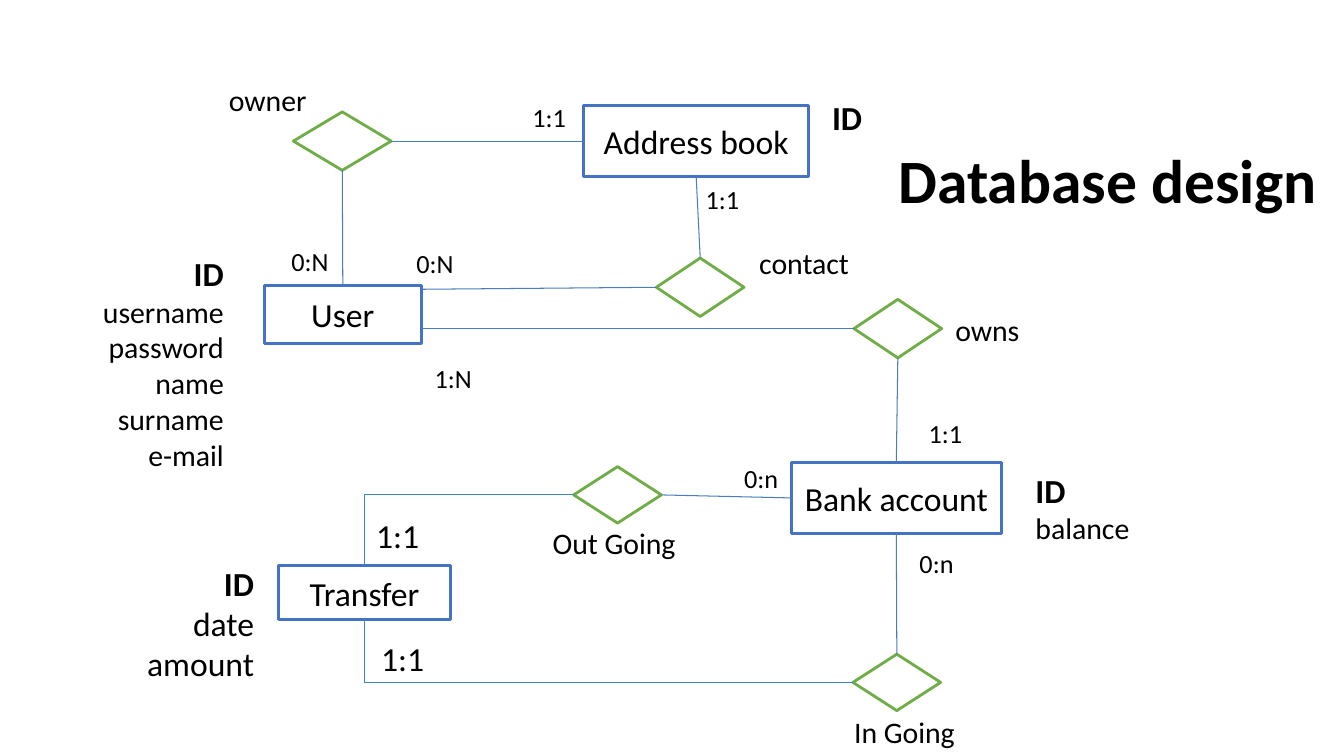
"""Draw the entity and relation diagram of a bank database."""
from typing import NamedTuple, Optional

from lxml.etree import SubElement
from pptx import Presentation
from pptx.dml.color import RGBColor
from pptx.enum.shapes import MSO_CONNECTOR, MSO_SHAPE
from pptx.enum.text import MSO_ANCHOR, PP_ALIGN
from pptx.oxml.ns import qn
from pptx.util import Inches, Pt

HUES = {"ink": "000000", "paper": "FFFFFF", "box": "4472C4",
        "gem": "70AD47", "line": "4A7DBA", "bend": "3D85C6"}
FONT = "Calibri"
BIG, MID, SMALL = 24, 21.3, 18.7
LEFT, RIGHT, MIDDLE = PP_ALIGN.LEFT, PP_ALIGN.RIGHT, PP_ALIGN.CENTER
TOP, WEST, BASE, EAST = range(4)


class Row(NamedTuple):
    text: str
    size: float = MID
    bold: bool = False


class Node(NamedTuple):
    name: str
    x: float
    y: float
    wide: float
    high: float


class Link(NamedTuple):
    gem: str
    start: int
    box: str
    end: Optional[int] = None
    spot: tuple[float, float] = (0, 0)
    bent: bool = False


class Note(NamedTuple):
    rows: list[Row]
    x: float
    y: float
    wide: float
    high: float
    side: PP_ALIGN = RIGHT


KEY = Row("ID", BIG, True)

BOXES = [
    Node("Address book", 5.79, 1.05, 2.23, 0.7),
    Node("User", 2.62, 2.83, 1.56, 0.58),
    Node("Bank account", 7.85, 4.59, 2.08, 0.7),
    Node("Transfer", 2.76, 5.61, 1.71, 0.54),
]

GEMS = [
    Node("owner", 2.91, 1.11, 0.97, 0.58),
    Node("contact", 6.51, 2.56, 0.87, 0.58),
    Node("owns", 8.47, 2.97, 0.87, 0.58),
    Node("Out Going", 5.69, 4.63, 0.87, 0.56),
    Node("In Going", 8.46, 6.49, 0.87, 0.56),
]

LINKS = [
    Link("owner", EAST, "Address book", WEST),
    Link("owner", BASE, "User", TOP),
    Link("contact", TOP, "Address book", BASE),
    Link("contact", WEST, "User", spot=(4.19, 2.87)),
    Link("owns", WEST, "User", spot=(4.18, 3.26)),
    Link("owns", BASE, "Bank account", TOP),
    Link("Out Going", EAST, "Bank account", WEST),
    Link("Out Going", WEST, "Transfer", TOP, bent=True),
    Link("In Going", TOP, "Bank account", BASE),
    Link("In Going", WEST, "Transfer", BASE, bent=True),
]

FIELDS = [
    Note([KEY], 7.89, 0.89, 0.79, 0.74),
    Note([KEY] + [Row(t) for t in ("username", "password", "name", "surname", "e-mail")],
         0.39, 2.44, 1.96, 1.9),
    Note([KEY, Row("date", BIG), Row("amount", BIG)], 0.39, 5.51, 2.26, 1.67),
    Note([KEY, Row("balance")], 10.14, 4.59, 2.17, 2.49, LEFT),
]

TITLES = [("owner", 1.76, 0.74, 1.41), ("contact", 6.21, 2.36, 2.34),
          ("owns", 8.83, 3.02, 1.41), ("Out Going", 4.8, 5.14, 2.03),
          ("In Going", 7.57, 7.01, 2.03)]

COUNTS = [("1:1", 5.15, 0.94, SMALL), ("1:1", 6.87, 1.75, SMALL),
          ("0:N", 2.76, 2.36, SMALL), ("0:N", 4, 2.38, SMALL),
          ("1:N", 4.18, 3.52, SMALL), ("1:1", 9.08, 4.07, SMALL),
          ("0:n", 7.25, 4.52, SMALL), ("0:n", 8.99, 5.36, SMALL),
          ("1:1", 3.6, 5.04, BIG), ("1:1", 3.65, 6.26, BIG)]


def tint(name: str) -> RGBColor:
    return RGBColor.from_string(HUES[name])


def write(shape, rows: list[Row], side: PP_ALIGN, anchor=MSO_ANCHOR.TOP) -> None:
    frame = shape.text_frame
    frame.word_wrap = True
    frame.vertical_anchor = anchor
    frame.margin_left = frame.margin_right = Inches(0.13)
    frame.margin_top = frame.margin_bottom = Inches(0.07)
    for i, row in enumerate(rows):
        para = frame.add_paragraph() if i else frame.paragraphs[0]
        para.alignment = side
        run = para.add_run()
        run.text = row.text
        run.font.name, run.font.size, run.font.bold = FONT, Pt(row.size), row.bold
        run.font.color.rgb = tint("ink")


def add_node(slide, node: Node, form: MSO_SHAPE, hue: str):
    shape = slide.shapes.add_shape(form, *map(Inches, node[1:]))
    shape.shadow.inherit = False
    shape.fill.solid()
    shape.fill.fore_color.rgb = tint("paper")
    shape.line.color.rgb = tint(hue)
    shape.line.width = Pt(2)
    return shape


def add_link(slide, link: Link, nodes: dict) -> None:
    kind = MSO_CONNECTOR.ELBOW if link.bent else MSO_CONNECTOR.STRAIGHT
    spot = [Inches(v) for v in link.spot]
    line = slide.shapes.add_connector(kind, *spot, *spot)
    line.begin_connect(nodes[link.gem], link.start)
    if link.end is not None:
        line.end_connect(nodes[link.box], link.end)
    line.line.color.rgb = tint("bend" if link.bent else "line")
    line.line.width = Pt(0.75)
    props = line._element.spPr
    SubElement(props, qn("a:effectLst"))
    if link.bent:
        props.find(qn("a:prstGeom")).set("prst", "bentConnector2")


def add_note(slide, note: Note, anchor=MSO_ANCHOR.TOP):
    box = slide.shapes.add_textbox(*map(Inches, note[1:5]))
    write(box, note.rows, note.side, anchor)
    return box


def main() -> None:
    deck = Presentation()
    deck.slide_width, deck.slide_height = Inches(13.33), Inches(7.5)
    slide = deck.slides.add_slide(deck.slide_layouts[6])

    head = Note([Row("Database design", 44, True)], 5.24, 1.1, 11.5, 1.45, MIDDLE)
    title = add_note(slide, head, MSO_ANCHOR.MIDDLE)
    title.text_frame.paragraphs[0].line_spacing = 0.9

    nodes = {}
    for node in BOXES:
        nodes[node.name] = add_node(slide, node, MSO_SHAPE.RECTANGLE, "box")
        write(nodes[node.name], [Row(node.name, BIG)], MIDDLE, MSO_ANCHOR.MIDDLE)
    for node in GEMS:
        nodes[node.name] = add_node(slide, node, MSO_SHAPE.DIAMOND, "gem")
    for link in LINKS:
        add_link(slide, link, nodes)

    names = [Note([Row(text)], x, y, wide, 0.37) for text, x, y, wide in TITLES]
    counts = [Note([Row(text, size)], x, y, 0.83, 0.34, LEFT)
              for text, x, y, size in COUNTS]
    for note in FIELDS + names + counts:
        add_note(slide, note)
    deck.save("out.pptx")


main()
